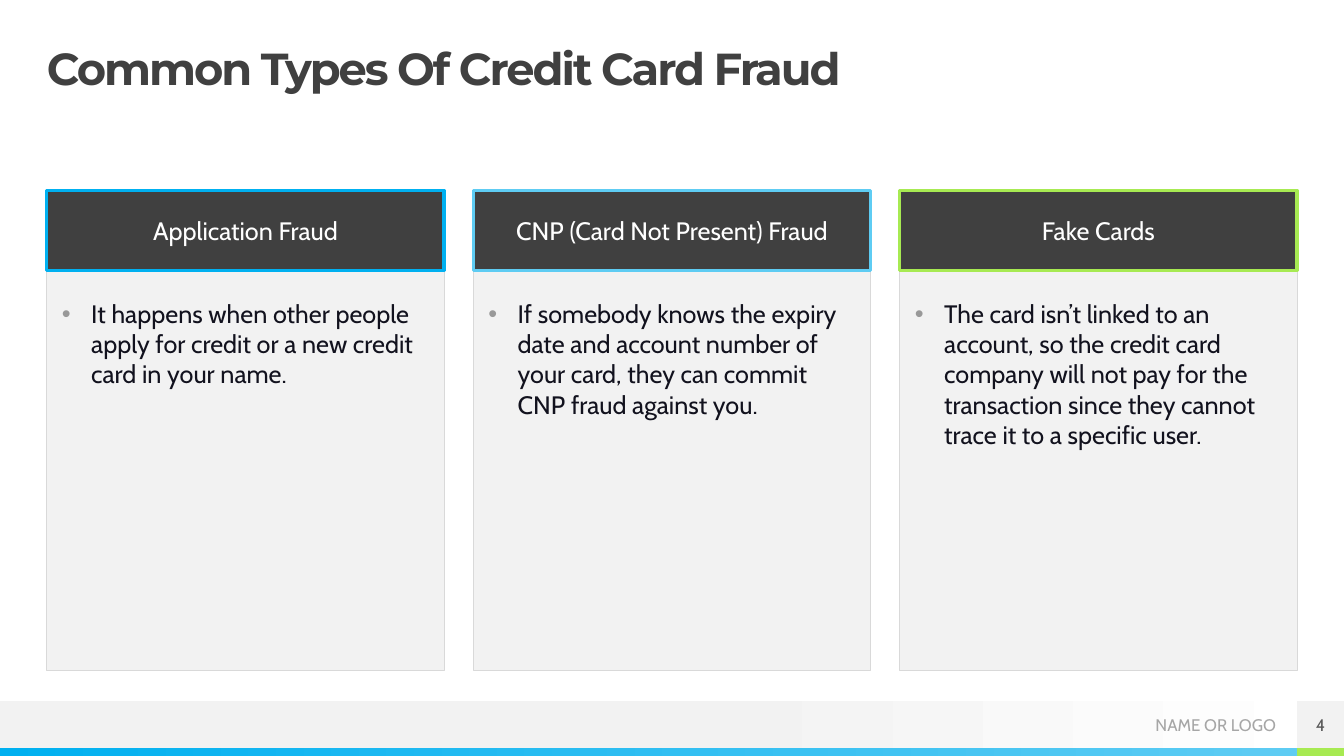
from lxml.etree import SubElement
from pptx import Presentation
from pptx.dml.color import RGBColor
from pptx.enum.shapes import MSO_SHAPE
from pptx.enum.text import MSO_ANCHOR, PP_ALIGN
from pptx.oxml.ns import qn
from pptx.util import Inches, Pt

deck = Presentation()
deck.slide_width, deck.slide_height = Inches(13.333), Inches(7.5)
slide = deck.slides.add_slide(deck.slide_layouts[6])

WIDE, HIGH = 13.333, 7.5
EDGE, GAP, COLS = 0.465, 0.29, 3
SPAN = WIDE - 2 * EDGE
COL = (SPAN - (COLS - 1) * GAP) / COLS
HEAD_TOP, HEAD, BODY = 1.89, 0.79, 3.97
STRIP = 0.08
BAR_TOP = HIGH - STRIP - EDGE
DARK, PALE, BLUE, SKY, LIME = "404040", "F2F2F2", "00B0F0", "5ECCF3", "A7EA52"


def box(place, fill=None, line=None, weight=0.75):
    at = [Inches(n) for n in place]
    if fill is None:
        return slide.shapes.add_textbox(*at)
    shape = slide.shapes.add_shape(MSO_SHAPE.RECTANGLE, *at)
    shape.shadow.inherit = False
    if isinstance(fill, str):
        shape.fill.solid()
        shape.fill.fore_color.rgb = RGBColor.from_string(fill)
    else:
        shape.fill.gradient()
        shape.fill.gradient_angle = 0
        for stop, (spot, tone) in zip(shape.fill.gradient_stops, fill):
            stop.position = spot
            stop.color.rgb = RGBColor.from_string(tone)
    if line:
        shape.line.color.rgb = RGBColor.from_string(line)
        shape.line.width = Pt(weight)
    else:
        shape.line.fill.background()
    return shape


def write(shape, text, tone, form, inset=(0, 0, 0, 0), anchor=MSO_ANCHOR.MIDDLE, **para):
    frame = shape.text_frame
    frame.word_wrap = True
    frame.vertical_anchor = anchor
    for side, size in zip(("left", "top", "right", "bottom"), inset):
        setattr(frame, "margin_" + side, Inches(size))
    line = frame.paragraphs[0]
    for key, value in para.items():
        setattr(line, key, value)
    run = line.add_run()
    run.text = text
    for key, value in form.items():
        setattr(run.font, key, value)
    run.font.color.rgb = RGBColor.from_string(tone)
    return line


main = {"name": "Cabin", "size": Pt(18)}
small = {"name": "Cabin", "size": Pt(12)}
bold = {"name": "Montserrat", "size": Pt(32), "bold": True}

box((0, BAR_TOP, WIDE, EDGE), [(0.53, PALE), (1, "FFFFFF")])
box((0, HIGH - STRIP, WIDE - EDGE, STRIP), [(0, BLUE), (1, SKY)])
box((WIDE - EDGE, HIGH - STRIP, EDGE, STRIP), LIME)
write(box((10.42, BAR_TOP, 2.24, EDGE)), "NAME OR LOGO", "A6A6A6", small,
      alignment=PP_ALIGN.RIGHT)
write(box((WIDE - EDGE, BAR_TOP, EDGE, EDGE), PALE), "4", "595959", small,
      alignment=PP_ALIGN.CENTER)

title = write(box((EDGE, EDGE, SPAN, EDGE)), "Common Types Of Credit Card Fraud", DARK, bold,
              anchor=MSO_ANCHOR.TOP, line_spacing=0.9)
title.runs[0]._r.get_or_add_rPr().set("spc", "-150")

cards = [
    ("Application Fraud", BLUE,
     "It happens when other people apply for credit or a new credit card in your name."),
    ("CNP (Card Not Present) Fraud", SKY,
     "If somebody knows the expiry date and account number of your card, "
     "they can commit CNP fraud against you."),
    ("Fake Cards", LIME,
     "The card isn’t linked to an account, so the credit card company will not pay "
     "for the transaction since they cannot trace it to a specific user."),
]
for col, (name, tone, text) in enumerate(cards):
    left = EDGE + col * (COL + GAP)
    body = box((left, HEAD_TOP + HEAD, COL, BODY), PALE, "D9D9D9")
    item = write(body, text, "12121E", main, (0.15, 0.28, 0.15, 0), MSO_ANCHOR.TOP,
                 alignment=PP_ALIGN.LEFT, space_after=Pt(5))
    props = item._p.get_or_add_pPr()
    props.set("marL", str(Inches(0.29)))
    props.set("indent", str(-Inches(0.29)))
    SubElement(SubElement(props, qn("a:buClr")), qn("a:srgbClr")).set("val", "999999")
    SubElement(props, qn("a:buFont")).set("typeface", "Arial")
    SubElement(props, qn("a:buChar")).set("char", "•")
    head = box((left, HEAD_TOP, COL, HEAD), DARK, tone, 2.25)
    write(head, name, "FFFFFF", main, (0.12, 0.04, 0.12, 0.04),
          alignment=PP_ALIGN.CENTER, space_after=Pt(5))

deck.save("out.pptx")
